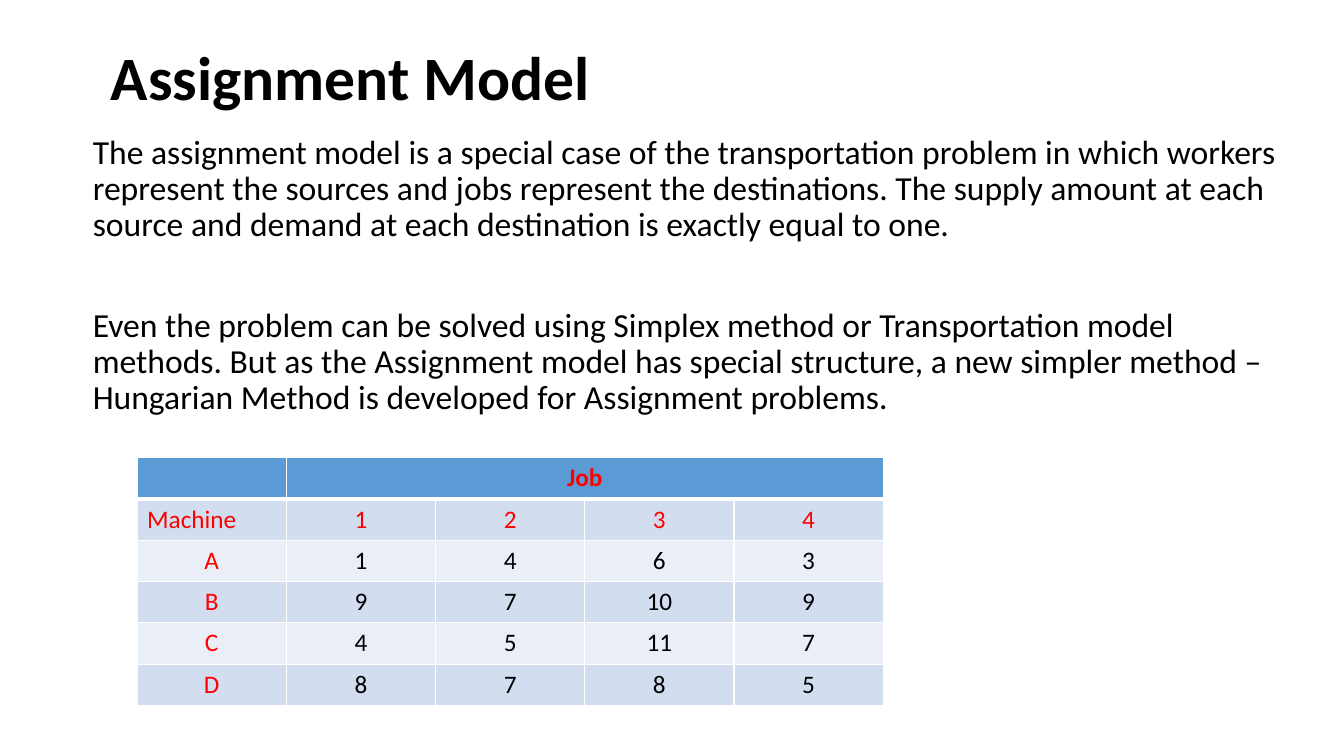
"""Build the Assignment Model slide with its machine and job cost table."""
from dataclasses import dataclass

from lxml import etree
from pptx import Presentation, util as u
from pptx.dml.color import RGBColor
from pptx.enum import text
from pptx.oxml.ns import qn

COLOURS = {
    "ink": "000000", "label": "FF0000", "border": "FFFFFF",
    "header": "5B9BD5", "band_dark": "D2DEEF", "band_light": "EAEFF7",
}
FONT = "Calibri"
LEFT, CENTER = text.PP_ALIGN.LEFT, text.PP_ALIGN.CENTER
BODY = (
    "The assignment model is a special case of the transportation problem in which workers "
    "represent the sources and jobs represent the destinations. The supply amount at each "
    "source and demand at each destination is exactly equal to one.",
    "Even the problem can be solved using Simplex method or Transportation model methods. "
    "But as the Assignment model has special structure, a new simpler method – Hungarian "
    "Method is developed for Assignment problems.",
)
COLUMN_WIDTH, ROW_HEIGHT = 1.48, 0.41


@dataclass(frozen=True)
class TableRow:
    """One table row and its fill."""

    values: tuple[str, ...]
    fill: str


ROWS = (
    TableRow(("", "Job", "", "", ""), "header"),
    TableRow(("Machine", "1", "2", "3", "4"), "band_dark"),
    TableRow(("A", "1", "4", "6", "3"), "band_light"),
    TableRow(("B", "9", "7", "10", "9"), "band_dark"),
    TableRow(("C", "4", "5", "11", "7"), "band_light"),
    TableRow(("D", "8", "7", "8", "5"), "band_dark"),
)


def colour(name: str) -> RGBColor:
    """Return the named colour."""
    return RGBColor.from_string(COLOURS[name])


def write(paragraph, content: str, *, size: float, ink: str = "ink", bold: bool = False,
          align=LEFT, line_spacing: float = 1.0, before: float = 0) -> None:
    """Put formatted text in a paragraph."""
    paragraph.alignment = align
    paragraph.line_spacing = line_spacing
    paragraph.space_before = u.Pt(before)
    run = paragraph.add_run()
    run.text = content
    run.font.name, run.font.size, run.font.bold = FONT, u.Pt(size), bold
    run.font.color.rgb = colour(ink)


def place(shape, left: float, top: float, width: float, height: float) -> None:
    """Move and size a shape in inches."""
    shape.left, shape.top = u.Inches(left), u.Inches(top)
    shape.width, shape.height = u.Inches(width), u.Inches(height)


def add_title(slide) -> None:
    """Format the title placeholder."""
    title = slide.shapes.title
    place(title, 1, 0.26, 11.29, 1.07)
    frame = title.text_frame
    frame.auto_size = text.MSO_AUTO_SIZE.NONE
    frame.vertical_anchor = text.MSO_ANCHOR.MIDDLE
    write(frame.paragraphs[0], "Assignment Model", size=44, bold=True, line_spacing=0.9)


def add_body(slide) -> None:
    """Add the two explanatory paragraphs."""
    box = slide.shapes.add_textbox(u.Inches(0.92), u.Inches(1.33), u.Inches(11.79), u.Inches(5.86))
    frame = box.text_frame
    frame.word_wrap = True
    frame.margin_left = frame.margin_right = frame.margin_bottom = 0
    frame.margin_top = u.Inches(0.01)
    for index, content in enumerate(BODY):
        paragraph = frame.add_paragraph() if index else frame.paragraphs[0]
        write(paragraph, content, size=24, line_spacing=0.9, before=46 * index)


def add_borders(cell, bottom: float, top: float) -> None:
    """Draw the cell's four borders."""
    properties = cell._tc.get_or_add_tcPr()
    for side, width in (("lnL", 1), ("lnR", 1), ("lnT", top), ("lnB", bottom)):
        line = etree.SubElement(properties, qn(f"a:{side}"), w=str(u.Pt(width)))
        fill = etree.SubElement(line, qn("a:solidFill"))
        etree.SubElement(fill, qn("a:srgbClr"), val=COLOURS["border"])


def add_cost_table(slide) -> None:
    """Add the table of machine and job costs."""
    columns = len(ROWS[0].values)
    table = slide.shapes.add_table(
        len(ROWS), columns, u.Inches(1.36), u.Inches(4.54),
        u.Inches(COLUMN_WIDTH * columns), u.Inches(ROW_HEIGHT * len(ROWS))).table
    for column in table.columns:
        column.width = u.Inches(COLUMN_WIDTH)
    for row_index, row in enumerate(ROWS):
        table.rows[row_index].height = u.Inches(ROW_HEIGHT)
        for column_index, value in enumerate(row.values):
            cell = table.cell(row_index, column_index)
            add_borders(cell, bottom=3 if row_index == 0 else 1, top=3 if row_index == 1 else 1)
            cell.fill.solid()
            cell.fill.fore_color.rgb = colour(row.fill)
            if value:
                is_label = row_index < 2 or column_index == 0
                write(cell.text_frame.paragraphs[0], value, size=18,
                      ink="label" if is_label else "ink", bold=row_index == 0,
                      align=LEFT if value == "Machine" else CENTER)
    table.cell(0, 1).merge(table.cell(0, columns - 1))


def main() -> None:
    """Build and save the presentation."""
    presentation = Presentation()
    presentation.slide_width, presentation.slide_height = u.Inches(13.33), u.Inches(7.5)
    slide = presentation.slides.add_slide(presentation.slide_layouts.get_by_name("Title Only"))
    add_title(slide)
    add_body(slide)
    add_cost_table(slide)
    presentation.save("out.pptx")


if __name__ == "__main__":
    main()
